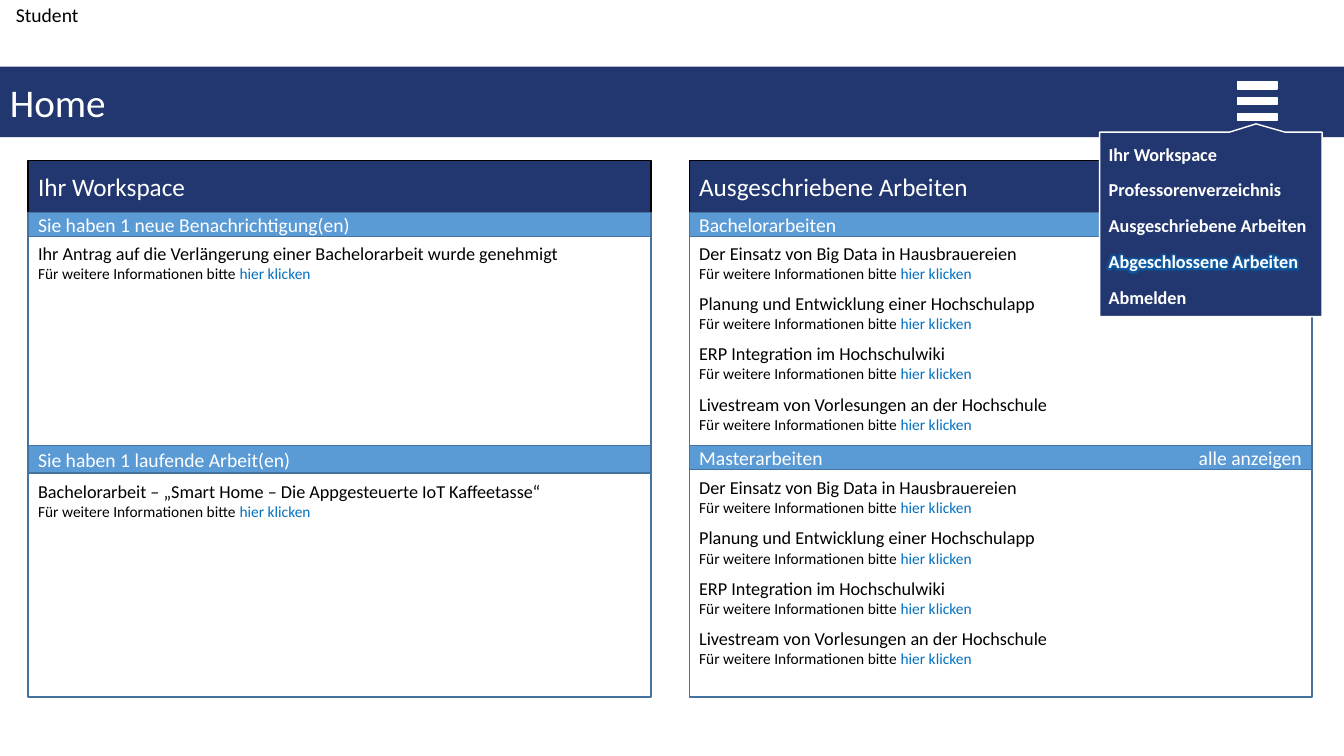
from lxml.etree import SubElement
from pptx import Presentation
from pptx.dml.color import RGBColor
from pptx.enum.shapes import MSO_SHAPE
from pptx.enum.text import MSO_ANCHOR, MSO_AUTO_SIZE, PP_ALIGN
from pptx.oxml import parse_xml
from pptx.oxml.ns import nsdecls, qn
from pptx.util import Cm, Pt

NAVY = RGBColor(0x22, 0x37, 0x6F)
SKY = RGBColor(0x5B, 0x9B, 0xD5)
STEEL = RGBColor(0x43, 0x73, 0x9E)
LINK = RGBColor(0x00, 0x70, 0xC0)
WHITE = RGBColor(0xFF, 0xFF, 0xFF)
BLACK = RGBColor(0x00, 0x00, 0x00)

COLUMN_WIDTH = 15.7
ENTRY_STEP = 1.27
MENU_STEP = 0.9
BAR_STEP = 0.4

THESES = [
    "Der Einsatz von Big Data in Hausbrauereien",
    "Planung und Entwicklung einer Hochschulapp",
    "ERP Integration im Hochschulwiki",
    "Livestream von Vorlesungen an der Hochschule",
]
MENU_ITEMS = [
    "Ihr Workspace",
    "Professorenverzeichnis",
    "Ausgeschriebene Arbeiten",
    "Abgeschlossene Arbeiten",
    "Abmelden",
]
ACTIVE_ITEM = "Abgeschlossene Arbeiten"
COLUMNS = [
    (0.71, "Ihr Workspace", [
        ("Sie haben 1 neue Benachrichtigung(en)", 5.36, 0.6, 11.24, 5.97,
         ["Ihr Antrag auf die Verlängerung einer Bachelorarbeit wurde genehmigt"]),
        ("Sie haben 1 laufende Arbeit(en)", 11.23, 0.69, 17.57, 11.97,
         ["Bachelorarbeit – „Smart Home – Die Appgesteuerte IoT Kaffeetasse“"]),
    ]),
    (17.37, "Ausgeschriebene Arbeiten", [
        ("Bachelorarbeiten\talle anzeigen", 5.36, 0.6, 11.24, 5.97, THESES),
        ("Masterarbeiten\talle anzeigen", 11.23, 0.6, 17.57, 11.88, THESES),
    ]),
]


class Screen:
    font_name = "Calibri"

    def __init__(self, slide):
        self.slide = slide
        self.shapes = slide.shapes

    def start_group(self):
        self.shapes = self.slide.shapes.add_group_shape().shapes

    def end_group(self):
        self.shapes = self.slide.shapes

    def style(self, run, size, color, bold=False):
        run.font.name = self.font_name
        run.font.size = Pt(size)
        run.font.color.rgb = color
        run.font.bold = bold

    def box(self, left, top, width, height, fill, line=None, kind=MSO_SHAPE.RECTANGLE):
        shape = self.shapes.add_shape(kind, Cm(left), Cm(top), Cm(width), Cm(height))
        shape.shadow.inherit = False
        shape.fill.solid()
        shape.fill.fore_color.rgb = fill
        if line is None:
            shape.line.fill.background()
        else:
            shape.line.color.rgb = line
            shape.line.width = Pt(1)
        return shape

    def bar(self, text, size, left, top, width, height, fill, line=None):
        shape = self.box(left, top, width, height, fill, line)
        shape.text_frame.word_wrap = True
        shape.text_frame.vertical_anchor = MSO_ANCHOR.MIDDLE
        paragraph = shape.text_frame.paragraphs[0]
        paragraph.text = text
        paragraph.alignment = PP_ALIGN.LEFT
        if "\t" in text:
            tabs = SubElement(paragraph._p.get_or_add_pPr(), qn("a:tabLst"))
            SubElement(tabs, qn("a:tab"), pos=str(Cm(15.19)), algn="r")
        self.style(paragraph.runs[0], size, WHITE)

    def label(self, text, size, left, top, width, height, color, bold=False):
        text_box = self.shapes.add_textbox(Cm(left), Cm(top), Cm(width), Cm(height))
        text_frame = text_box.text_frame
        text_frame.word_wrap = True
        text_frame.auto_size = MSO_AUTO_SIZE.SHAPE_TO_FIT_TEXT
        text_frame.text = text
        run = text_frame.paragraphs[0].runs[0]
        self.style(run, size, color, bold)
        return text_frame, run

    def entry(self, title, left, top):
        text_frame, _ = self.label(title, 13, left, top, COLUMN_WIDTH, 1.27, BLACK)
        paragraph = text_frame.add_paragraph()
        paragraph.text = "Für weitere Informationen bitte "
        self.style(paragraph.runs[0], 11, BLACK)
        link = paragraph.add_run()
        link.text = "hier klicken"
        self.style(link, 11, LINK)

    def glow(self, run):
        effects = parse_xml(
            f'<a:effectLst {nsdecls("a")}><a:glow rad="101600">'
            '<a:srgbClr val="0070C0"><a:alpha val="60000"/></a:srgbClr>'
            "</a:glow></a:effectLst>"
        )
        run.font._element.find(qn("a:solidFill")).addnext(effects)

    def column(self, left, heading, sections):
        self.bar(heading, 18, left, 4.04, COLUMN_WIDTH, 1.32, NAVY, BLACK)
        for title, top, height, bottom, first_entry, entries in sections:
            body_top = top + height
            self.box(left, body_top, COLUMN_WIDTH, bottom - body_top, WHITE, STEEL)
            self.bar(title, 14, left, top, COLUMN_WIDTH, height, SKY, STEEL)
            for index, entry in enumerate(entries):
                self.entry(entry, left, first_entry + index * ENTRY_STEP)

    def menu_icon(self):
        self.start_group()
        self.box(31.17, 2.03, 1.04, 1.04, NAVY)
        for index in range(3):
            self.box(31.19, 2.06 + index * BAR_STEP, 0.99, 0.18, WHITE, WHITE)
        self.end_group()

    def menu(self):
        self.start_group()
        callout = self.box(27.71, 3.33, 5.61, 4.65, NAVY, WHITE,
                           MSO_SHAPE.RECTANGULAR_CALLOUT)
        callout.rotation = 180
        callout.adjustments[0] = -0.203
        callout.adjustments[1] = 0.545
        for index, item in enumerate(MENU_ITEMS):
            _, run = self.label(item, 13, 27.69, 3.48 + index * MENU_STEP,
                                5.61, 0.81, WHITE, True)
            if item == ACTIVE_ITEM:
                self.glow(run)
        self.end_group()


def main():
    presentation = Presentation()
    presentation.slide_width = Cm(33.87)
    presentation.slide_height = Cm(19.05)
    screen = Screen(presentation.slides.add_slide(presentation.slide_layouts[6]))
    screen.label("Student", 14, 0.15, -0.05, 3.63, 0.86, BLACK)
    screen.bar("Home", 28, 0, 1.68, 33.87, 1.78, NAVY)
    screen.menu_icon()
    for left, heading, sections in COLUMNS:
        screen.column(left, heading, sections)
    screen.menu()
    presentation.save("out.pptx")


if __name__ == "__main__":
    main()
